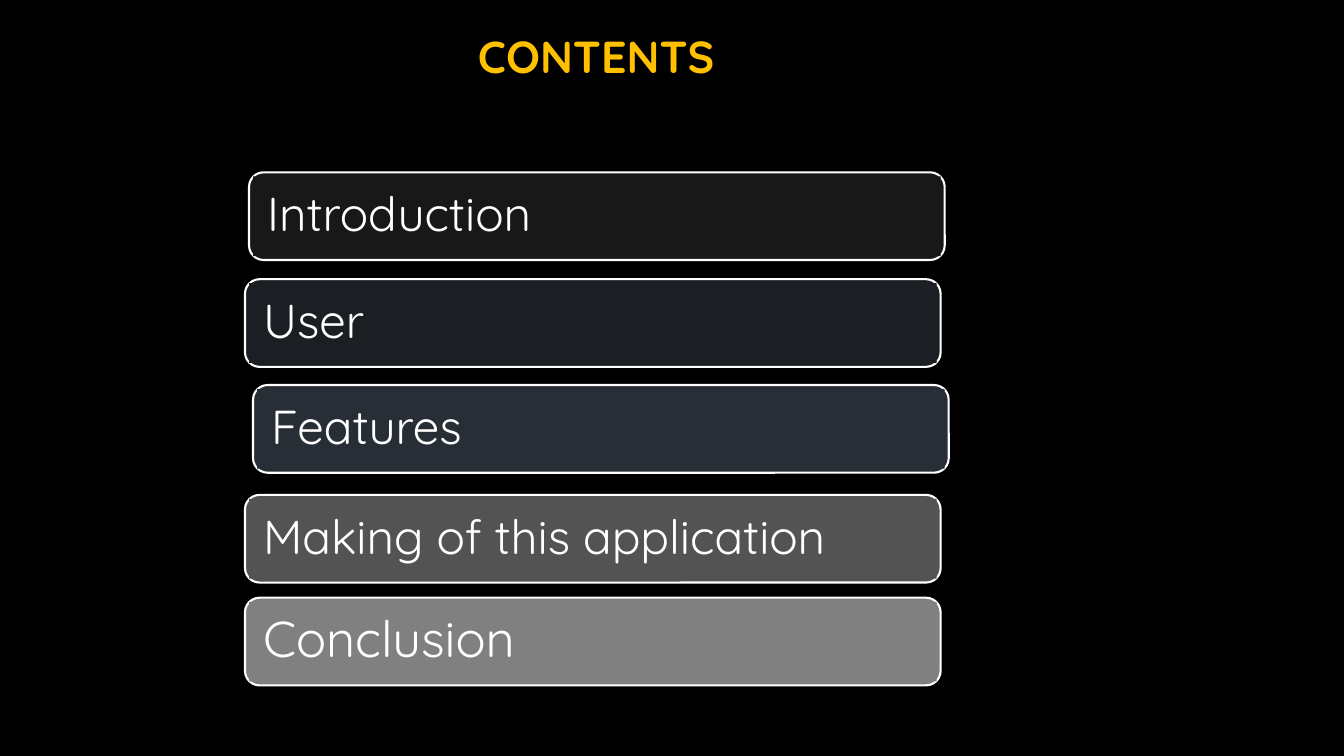
from typing import NamedTuple

from pptx import Presentation
from pptx.dml.color import RGBColor
from pptx.enum.shapes import MSO_SHAPE as Shape
from pptx.enum.text import MSO_ANCHOR as Anchor, PP_ALIGN as Align
from pptx.shapes.autoshape import Shape as Box
from pptx.shapes.shapetree import GroupShapes
from pptx.slide import Slide
from pptx.text.text import TextFrame
from pptx.util import Inches, Pt

BLACK = RGBColor(0x00, 0x00, 0x00)
WHITE = RGBColor(0xFF, 0xFF, 0xFF)
GOLD = RGBColor(0xFF, 0xC0, 0x00)
COAL = RGBColor(0x18, 0x18, 0x18)
INK = RGBColor(0x1B, 0x1E, 0x23)
SLATE = RGBColor(0x28, 0x2E, 0x35)
IRON = RGBColor(0x53, 0x53, 0x53)
GREY = RGBColor(0x80, 0x80, 0x80)

FONT = "Quicksand"
WIDTH, HEIGHT = 6.9, 0.87
INSET = 0.04
MARGIN = Inches(0.14)


class Topic(NamedTuple):
    text: str
    left: float
    top: float
    fill: RGBColor
    size: int = 34


TOPICS = [
    Topic("Introduction", 2.47, 1.71, COAL),
    Topic("User", 2.43, 2.77, INK),
    Topic("Features", 2.51, 3.82, SLATE),
    Topic("Making of this application", 2.43, 4.91, IRON),
    Topic("Conclusion", 2.43, 5.93, GREY, 36),
]


def add_text(frame: TextFrame, text: str, size: int, color: RGBColor, bold: bool = False) -> None:
    frame.word_wrap = True
    para = frame.paragraphs[0]
    para.alignment = Align.LEFT
    para.line_spacing = 0.9
    run = para.add_run()
    run.text = text
    font = run.font
    font.name, font.size, font.bold = FONT, Pt(size), bold
    font.color.rgb = color


def add_box(shapes: GroupShapes, kind: Shape, topic: Topic, inset: float = 0) -> Box:
    box = shapes.add_shape(
        kind,
        Inches(topic.left + inset),
        Inches(topic.top + inset),
        Inches(WIDTH - 2 * inset),
        Inches(HEIGHT - 2 * inset),
    )
    box.shadow.inherit = False
    box.fill.solid()
    box.fill.fore_color.rgb = topic.fill
    return box


def add_topic(slide: Slide, topic: Topic) -> None:
    shapes = slide.shapes.add_group_shape().shapes
    frame = add_box(shapes, Shape.ROUNDED_RECTANGLE, topic)
    frame.line.color.rgb = WHITE
    frame.line.width = Pt(1.5)
    label = add_box(shapes, Shape.RECTANGLE, topic, INSET)
    label.line.fill.background()
    body = label.text_frame
    body.margin_left = body.margin_right = MARGIN
    body.margin_top = body.margin_bottom = MARGIN
    body.vertical_anchor = Anchor.MIDDLE
    add_text(body, topic.text, topic.size, WHITE)


def add_title(slide: Slide) -> None:
    title = slide.shapes.title
    title.left, title.top = Inches(4.64), Inches(0.14)
    title.width, title.height = Inches(3.73), Inches(0.74)
    title.text_frame.vertical_anchor = Anchor.BOTTOM
    add_text(title.text_frame, "CONTENTS", 32, GOLD, True)


def main() -> None:
    deck = Presentation()
    deck.slide_width, deck.slide_height = Inches(13.33), Inches(7.5)
    slide = deck.slides.add_slide(deck.slide_layouts[5])
    slide.background.fill.solid()
    slide.background.fill.fore_color.rgb = BLACK
    add_title(slide)
    for topic in TOPICS:
        add_topic(slide, topic)
    deck.save("out.pptx")


if __name__ == "__main__":
    main()
